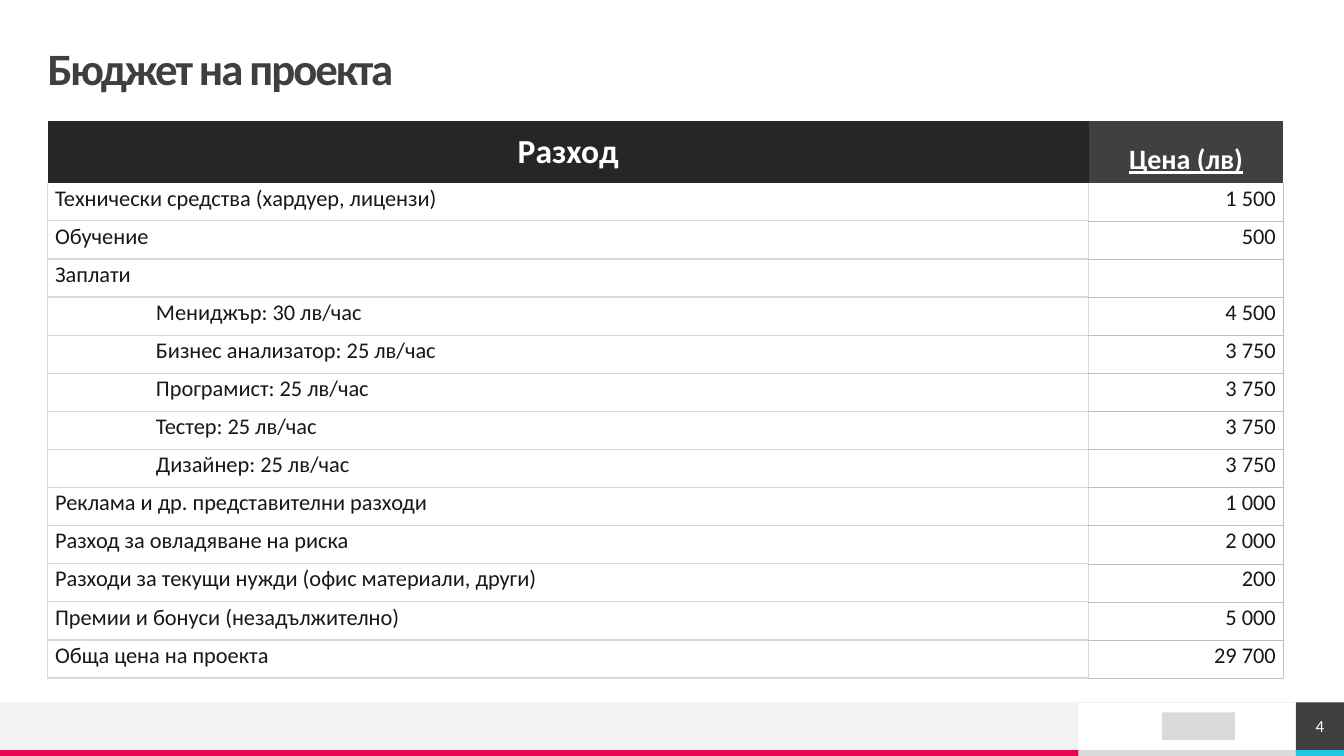
from typing import NamedTuple

from lxml.etree import SubElement as Sub
from pptx import Presentation
from pptx.dml.color import RGBColor as Rgb
from pptx.enum.shapes import MSO_CONNECTOR as Line, MSO_SHAPE as Shape
from pptx.enum.text import MSO_ANCHOR as Anchor, MSO_AUTO_SIZE as Auto, PP_ALIGN as Align
from pptx.oxml.ns import qn
from pptx.util import Cm, Pt

FONT = "Calibri"
NO_GRID = "{2D5ABB26-0587-4C30-8999-92F81FD0307C}"
WIDE, HIGH = 33.87, 19.05
FOOT, EDGE = 17.7, 18.9  # top of the footer and of its thin strip
SPLIT, PAGE = 27.18, 32.66  # where the footer's parts meet


class Bar(NamedTuple):
    left: float
    top: float
    right: float
    low: float
    hue: str


class Cost(NamedTuple):
    name: str
    price: str
    sub: bool = False


class Look(NamedTuple):
    font: dict
    hue: str
    align: Align
    space: float = 1.0


class Edge(NamedTuple):
    side: str
    hue: str
    size: float


BARS = [
    Bar(SPLIT, EDGE, PAGE, HIGH, "DADADA"),
    Bar(0, FOOT, SPLIT, EDGE, "F2F2F2"),
    Bar(0, EDGE, SPLIT, HIGH, "E80554"),
    Bar(PAGE, EDGE, WIDE, HIGH, "25C6E3"),
    Bar(29.29, 17.95, 31.12, 18.65, "DADADA"),  # plain block for the logo
]
BADGE = Bar(PAGE, FOOT, WIDE, EDGE, "404040")

COSTS = [
    Cost("Технически средства (хардуер, лицензи)", "1 500"),
    Cost("Обучение", "500"),
    Cost("Заплати", ""),
    Cost("Мениджър: 30 лв/час", "4 500", True),
    Cost("Бизнес анализатор: 25 лв/час", "3 750", True),
    Cost("Програмист: 25 лв/час", "3 750", True),
    Cost("Тестер: 25 лв/час", "3 750", True),
    Cost("Дизайнер: 25 лв/час", "3 750", True),
    Cost("Реклама и др. представителни разходи", "1 000"),
    Cost("Разход за овладяване на риска", "2 000"),
    Cost("Разходи за текущи нужди (офис материали, други)", "200"),
    Cost("Премии и бонуси (незадължително)", "5 000"),
    Cost("Обща цена на проекта", "29 700"),
]

TITLE = Look({"size": Pt(32), "bold": True}, "3F3F3F", Align.LEFT, 0.9)
HEAD = Look({"size": Pt(24), "bold": True}, "FFFFFF", Align.CENTER)
UNIT = Look({"size": Pt(20), "bold": True, "underline": True}, "FFFFFF", Align.CENTER, 1.07)
NAME = Look({"size": Pt(16), "bold": False}, "181818", Align.LEFT, 1.07)
PRICE = NAME._replace(align=Align.RIGHT)
NUMBER = Look({"size": Pt(12)}, "FFFFFF", Align.CENTER)

GREY = [Edge(side, "D9D9D9", 1) for side in "LRTB"]
THIN = [Edge("L", "D9D9D9", 1)] + [Edge(side, "BFBFBF", 0.25) for side in "RTB"]


def paint(fill, hue: str) -> None:
    fill.solid()
    fill.fore_color.rgb = Rgb.from_string(hue)


def pad(box, left: float, top: float, right: float, low: float) -> None:
    sides = {"left": left, "top": top, "right": right, "bottom": low}
    for side, size in sides.items():
        setattr(box, f"margin_{side}", Cm(size))


def write(frame, text: str, look: Look):
    para = frame.paragraphs[0]
    para.alignment, para.line_spacing = look.align, look.space
    if text:
        run = para.add_run()
        run.text = text
        for key, value in {"name": FONT, **look.font}.items():
            setattr(run.font, key, value)
        run.font.color.rgb = Rgb.from_string(look.hue)
    return para


def draw(slide, bar: Bar):
    shape = slide.shapes.add_shape(
        Shape.RECTANGLE, Cm(bar.left), Cm(bar.top),
        Cm(bar.right - bar.left), Cm(bar.low - bar.top))
    shape.shadow.inherit = False
    paint(shape.fill, bar.hue)
    shape.line.fill.background()
    return shape


def frame_cell(cell, edges: list[Edge]) -> None:
    props = cell._tc.get_or_add_tcPr()
    for spot, edge in enumerate(edges):
        line = Sub(props, qn(f"a:ln{edge.side}"), w=str(Pt(edge.size)))
        Sub(Sub(line, qn("a:solidFill")), qn("a:srgbClr"), val=edge.hue)
        props.insert(spot, line)


def fill_cell(cell, text: str, look: Look, edges: list[Edge]):
    paint(cell.fill, "FFFFFF")
    pad(cell, 0.19, 0, 0.19, 0)
    frame_cell(cell, edges)
    return write(cell.text_frame, text, look)


def add_costs(slide) -> None:
    head, step = 1.55, 0.96
    count = len(COSTS)
    grid = slide.shapes.add_table(
        count + 1, 2, Cm(1.2), Cm(3.05), Cm(31.14), Cm(head + step * count)).table
    grid.first_row = grid.horz_banding = False
    grid._tbl.tblPr.find(qn("a:tableStyleId")).text = NO_GRID
    for col, width in zip(grid.columns, (26.24, 4.9)):
        col.width = Cm(width)
    for index, row in enumerate(grid.rows):
        row.height = Cm(step if index else head)

    # Header row
    cost, unit = grid.rows[0].cells
    paint(cost.fill, "262626")
    cost.vertical_anchor = Anchor.MIDDLE
    write(cost.text_frame, "Разход", HEAD)
    paint(unit.fill, "404040")
    pad(unit, 0.25, 0.5, 0.25, 0.13)
    write(unit.text_frame, "Цена (лв)", UNIT)

    # Cost rows; the first has no line under the header
    for index, item in enumerate(COSTS, 1):
        first = index == 1
        sets = [[e for e in edges if not (first and e.side == "T")] for edges in (GREY, THIN)]
        para = fill_cell(grid.cell(index, 0), item.name, NAME, sets[0])
        if item.sub:
            para._p.get_or_add_pPr().set("marL", str(Cm(2.54)))
        fill_cell(grid.cell(index, 1), item.price, PRICE, sets[1])


def add_title(slide) -> None:
    title = slide.shapes.title
    spots = {"left": 1.2, "top": 1.2, "width": 31.46, "height": 1.2}
    for key, value in spots.items():
        setattr(title, key, Cm(value))
    frame = title.text_frame
    frame.auto_size, frame.vertical_anchor = Auto.NONE, Anchor.MIDDLE
    pad(frame, 0, 0, 0, 0)
    para = write(frame, "Бюджет на проекта", TITLE)
    para.runs[0]._r.get_or_add_rPr().set("spc", "-150")


def add_foot(slide) -> None:
    for bar in BARS:
        draw(slide, bar)
    rule = slide.shapes.add_connector(Line.STRAIGHT, Cm(WIDE), Cm(FOOT), Cm(0), Cm(FOOT))
    rule.line.width = Pt(0.5)
    paint(rule.line.fill, "F2F2F2")
    Sub(rule._element.spPr, qn("a:effectLst"))


def add_page(slide) -> None:
    frame = draw(slide, BADGE).text_frame
    frame.vertical_anchor = Anchor.MIDDLE
    pad(frame, 0, 0, 0, 0)
    write(frame, "4", NUMBER)


def main() -> None:
    deck = Presentation()
    deck.slide_width, deck.slide_height = Cm(WIDE), Cm(HIGH)
    slide = deck.slides.add_slide(deck.slide_layouts[5])
    for part in (add_foot, add_title, add_costs, add_page):
        part(slide)
    deck.save("out.pptx")


if __name__ == "__main__":
    main()
